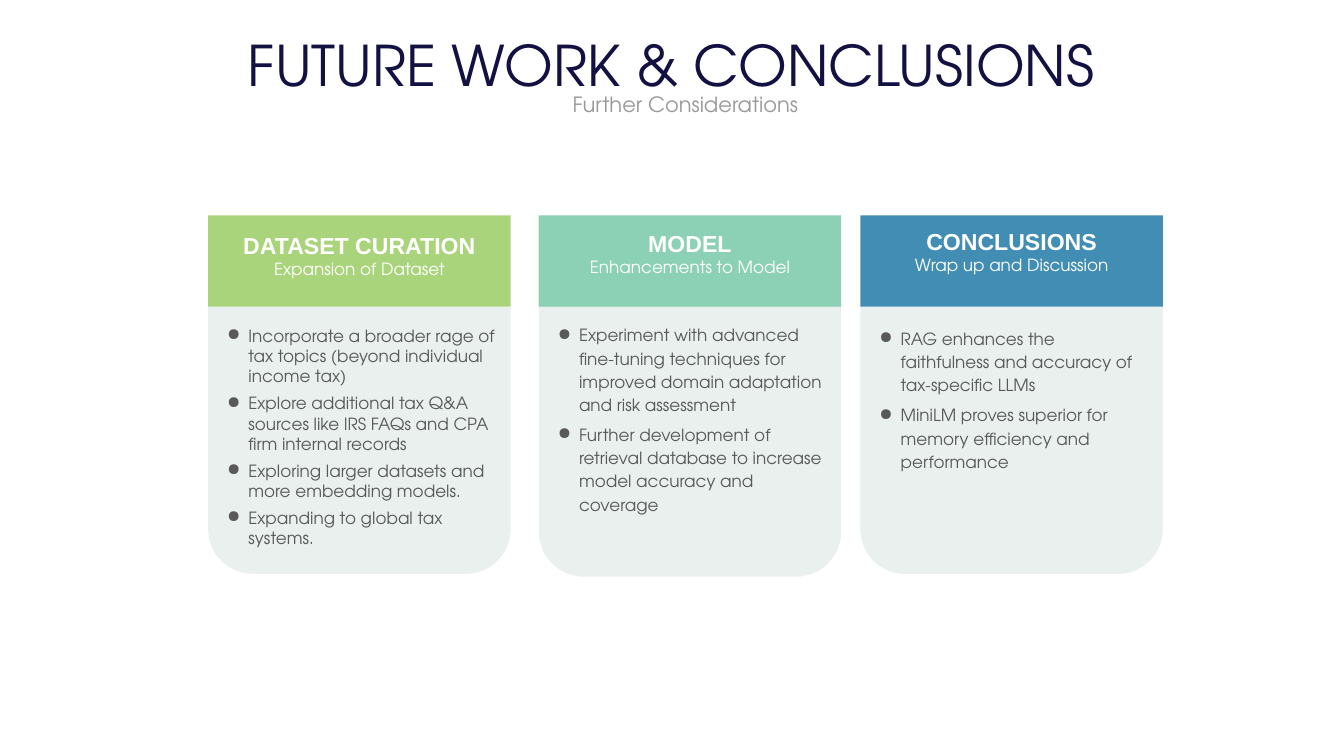
from dataclasses import dataclass

from lxml import etree
from pptx import Presentation
from pptx.dml.color import RGBColor
from pptx.enum.shapes import MSO_SHAPE
from pptx.enum.text import MSO_ANCHOR, MSO_AUTO_SIZE, PP_ALIGN
from pptx.oxml.ns import qn
from pptx.util import Cm, Pt

SANS, HEADING = "TeX Gyre Adventor", "Arial"
NAVY, GREY, TEXT, PANEL, WHITE = "121142", "999999", "595959", "E9F0EE", "FFFFFF"
CARD_TOP, CARD_WIDTH, HEADER_HEIGHT = 10.85, 15.24, 4.6


@dataclass
class Card:
    """Content and measures of one column, in centimetres."""
    left: float
    color: str
    opacity: int
    heading: str
    caption: str
    header_bottom: float
    panel_top: float
    panel_height: float
    text_top: float
    text_height: float
    line_spacing: float
    points: list


CARDS = [
    Card(10.49, "87C243", 70, "DATASET CURATION", "Expansion of Dataset", 0.85,
         15.46, 13.46, 15.65, 11.33, 1.0, [
             "Incorporate a broader rage of tax topics (beyond individual income tax)",
             "Explore additional tax Q&A sources like IRS FAQs and CPA firm internal records",
             "Exploring larger datasets and more embedding models.",
             "Expanding to global tax systems."]),
    Card(27.15, "5CBE97", 70, "MODEL", "Enhancements to Model", 1.02,
         15.42, 13.64, 15.47, 21.08, 1.15, [
             "Experiment with advanced fine-tuning techniques for improved domain "
             "adaptation and risk assessment",
             "Further development of retrieval database to increase model accuracy "
             "and coverage"]),
    Card(43.36, "418DB3", 100, "CONCLUSIONS", "Wrap up and Discussion", 1.23,
         15.46, 13.46, 15.65, 8.31, 1.15, [
             "RAG enhances the faithfulness and accuracy of tax-specific LLMs",
             "MiniLM proves superior for memory efficiency and performance"]),
]


def rgb(color):
    """Turn a hex string into a colour."""
    return RGBColor.from_string(color)


def box(left, top, width, height):
    """Turn centimetres into a position and size."""
    return [Cm(value) for value in (left, top, width, height)]


def set_frame(frame, side=0.25, top=0.25, bottom=0.25, anchor=MSO_ANCHOR.TOP):
    """Set the wrapping, anchor and insets of a text frame."""
    values = {"word_wrap": True, "auto_size": MSO_AUTO_SIZE.NONE,
              "vertical_anchor": anchor, "margin_left": Cm(side),
              "margin_right": Cm(side), "margin_top": Cm(top),
              "margin_bottom": Cm(bottom)}
    for name, value in values.items():
        setattr(frame, name, value)


def write(paragraph, text, size, color, font=SANS, bold=False, align=PP_ALIGN.CENTER):
    """Fill a paragraph with one formatted run."""
    paragraph.alignment = align
    run = paragraph.add_run()
    run.text = text
    for name, value in {"name": font, "size": Pt(size), "bold": bold}.items():
        setattr(run.font, name, value)
    run.font.color.rgb = rgb(color)


def add_block(slide, kind, area, color):
    """Add a plain filled shape."""
    block = slide.shapes.add_shape(kind, *area)
    block.shadow.inherit = False
    block.fill.solid()
    block.fill.fore_color.rgb = rgb(color)
    block.line.fill.background()
    return block


def add_bullet(paragraph):
    """Give a paragraph a hanging round bullet."""
    properties = paragraph._p.get_or_add_pPr()
    properties.set("marL", str(Cm(1.27)))
    properties.set("indent", str(Cm(-1.07)))
    bullet_color = etree.SubElement(properties, qn("a:buClr"))
    etree.SubElement(bullet_color, qn("a:srgbClr"), val=TEXT)
    etree.SubElement(properties, qn("a:buChar"), char="●")


def add_heading(slide):
    """Place the title and the subtitle under it."""
    title = slide.shapes.title
    title.left, title.top, title.width, title.height = box(2.59, 1.27, 62.48, 3.94)
    subtitle = slide.shapes.add_textbox(*box(18.24, 4.34, 32.61, 1.8))
    for part, text, size, color in (
            (title, "FUTURE WORK & CONCLUSIONS", 80, NAVY),
            (subtitle, "Further Considerations", 30, GREY)):
        set_frame(part.text_frame)
        write(part.text_frame.paragraphs[0], text, size, color)


def add_panel(slide, card):
    """Place the rounded panel of a card and its bullet points."""
    panel = add_block(slide, MSO_SHAPE.ROUND_2_SAME_RECTANGLE,
                      box(card.left, card.panel_top, CARD_WIDTH, card.panel_height), PANEL)
    panel.rotation = 180
    panel.adjustments[0], panel.adjustments[1] = 0.167, 0
    points = slide.shapes.add_textbox(
        *box(card.left, card.text_top, CARD_WIDTH, card.text_height)).text_frame
    set_frame(points, side=0.76, top=0.76)
    for index, point in enumerate(card.points):
        paragraph = points.add_paragraph() if index else points.paragraphs[0]
        paragraph.line_spacing = card.line_spacing
        paragraph.space_before = Pt(10)
        write(paragraph, point, 24, TEXT, align=PP_ALIGN.LEFT)
        add_bullet(paragraph)


def add_header(slide, card):
    """Place the coloured header of a card."""
    header = add_block(slide, MSO_SHAPE.RECTANGLE,
                       box(card.left, CARD_TOP, CARD_WIDTH, HEADER_HEIGHT), card.color)
    if card.opacity < 100:
        fill_color = header.fill._xPr.find(qn("a:solidFill"))[0]
        etree.SubElement(fill_color, qn("a:alpha"), val=str(card.opacity * 1000))
    frame = header.text_frame
    set_frame(frame, bottom=card.header_bottom, anchor=MSO_ANCHOR.MIDDLE)
    write(frame.paragraphs[0], card.heading, 33, WHITE, HEADING, True)
    write(frame.add_paragraph(), card.caption, 24, WHITE)


def main():
    """Build and save the slide."""
    deck = Presentation()
    deck.slide_width, deck.slide_height = Cm(67.73), Cm(38.1)
    slide = deck.slides.add_slide(deck.slide_layouts[5])
    add_heading(slide)
    for card in CARDS:
        add_panel(slide, card)
        add_header(slide, card)
    deck.save("out.pptx")


if __name__ == "__main__":
    main()
